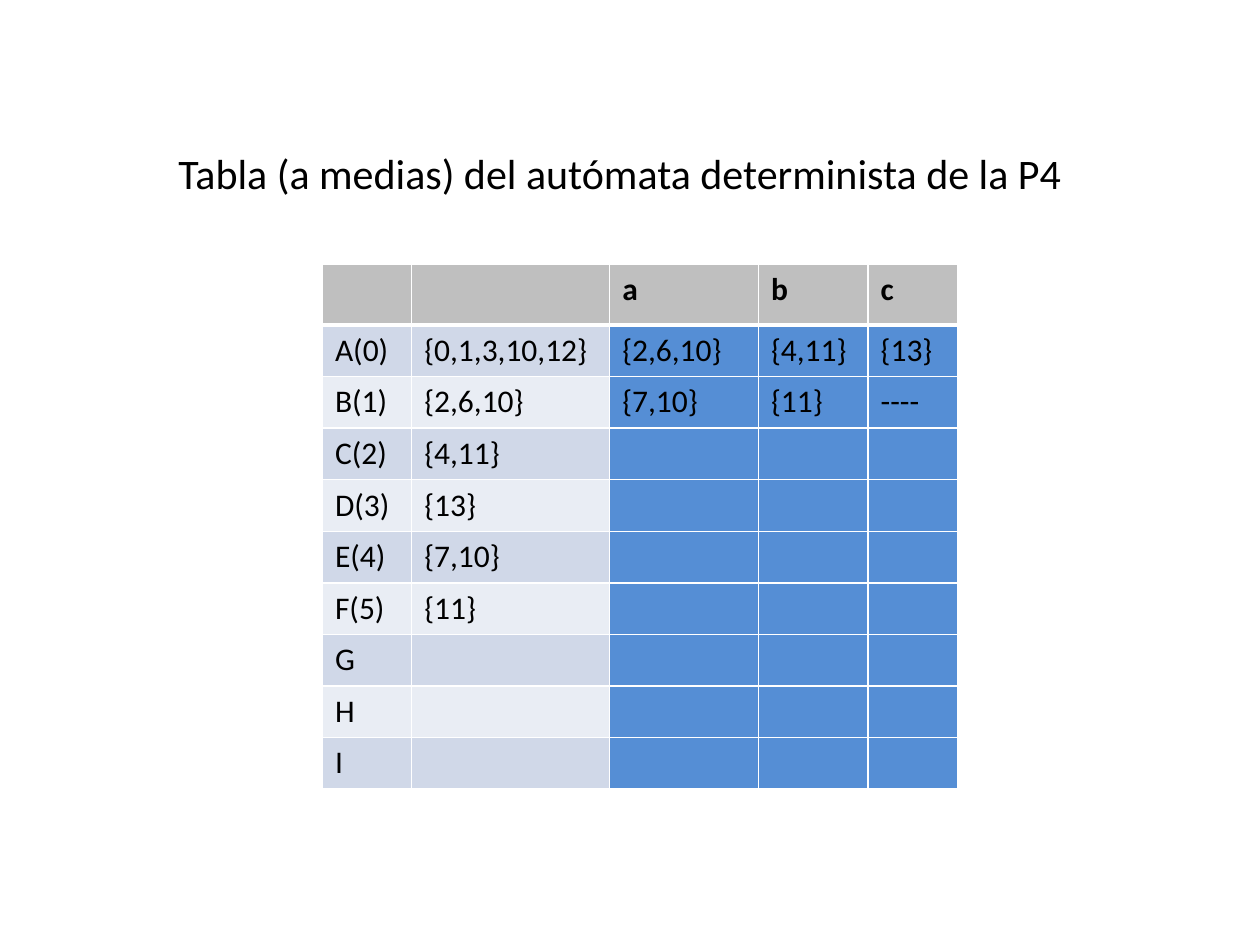
from lxml import etree
from pptx import Presentation
from pptx.dml.color import RGBColor
from pptx.enum import text
from pptx.oxml import ns
from pptx.util import Cm, Pt

BLACK = RGBColor(0x00, 0x00, 0x00)
WHITE = RGBColor(0xFF, 0xFF, 0xFF)
GREY = RGBColor(0xBF, 0xBF, 0xBF)
BAND_DARK = RGBColor(0xD0, 0xD8, 0xE8)
BAND_LIGHT = RGBColor(0xE9, 0xED, 0xF4)
BLUE = RGBColor(0x55, 0x8E, 0xD5)

HEADING = "Tabla (a medias) del autómata determinista de la P4"
TRANSITIONS = [
    ["", "", "a", "b", "c"],
    ["A(0)", "{0,1,3,10,12}", "{2,6,10}", "{4,11}", "{13}"],
    ["B(1)", "{2,6,10}", "{7,10}", "{11}", "----"],
    ["C(2)", "{4,11}"],
    ["D(3)", "{13}"],
    ["E(4)", "{7,10}"],
    ["F(5)", "{11}"],
    ["G"],
    ["H"],
    ["I"],
]
COLUMN_WIDTHS = [1.8, 3.99, 3, 2.21, 1.8]
HEADER_HEIGHT, STATE_HEIGHT = 1.22, 1.04


def format_font(font, size, bold=False):
    font.color.rgb = BLACK
    values = {"name": "Calibri", "size": Pt(size), "bold": bold}
    for name, value in values.items():
        setattr(font, name, value)


def add_heading(slide):
    heading = slide.shapes.title
    place = {"left": 1.7, "top": 2.34, "width": 21.59, "height": 2.29}
    for name, value in place.items():
        setattr(heading, name, Cm(value))
    frame = heading.text_frame
    frame.text = HEADING
    frame.vertical_anchor = text.MSO_ANCHOR.MIDDLE
    paragraph = frame.paragraphs[0]
    paragraph.alignment = text.PP_ALIGN.CENTER
    format_font(paragraph.runs[0].font, 24)


def set_borders(cell, top, bottom):
    properties = cell._tc.get_or_add_tcPr()
    for side, width in {"L": 1, "R": 1, "T": top, "B": bottom}.items():
        line = etree.SubElement(properties, ns.qn(f"a:ln{side}"), w=str(Pt(width)))
        solid = etree.SubElement(line, ns.qn("a:solidFill"))
        etree.SubElement(solid, ns.qn("a:srgbClr"), val=str(WHITE))


def cell_fill(row, column):
    if row == 0:
        return GREY
    if column >= 2:
        return BLUE
    return BAND_DARK if row % 2 else BAND_LIGHT


def fill_cell(cell, row, column, label):
    set_borders(cell, 3 if row == 1 else 1, 3 if row == 0 else 1)
    cell.fill.solid()
    cell.fill.fore_color.rgb = cell_fill(row, column)
    if label:
        cell.text = label
        format_font(cell.text_frame.paragraphs[0].runs[0].font, 18, row == 0)


def add_transitions(slide):
    heights = [HEADER_HEIGHT] + [STATE_HEIGHT] * (len(TRANSITIONS) - 1)
    table = slide.shapes.add_table(
        len(heights), len(COLUMN_WIDTHS), Cm(6.5), Cm(5.33),
        Cm(sum(COLUMN_WIDTHS)), Cm(sum(heights))).table
    for column, width in zip(table.columns, COLUMN_WIDTHS):
        column.width = Cm(width)
    for row, height in enumerate(heights):
        table.rows[row].height = Cm(height)
        labels = TRANSITIONS[row]
        for column in range(len(COLUMN_WIDTHS)):
            label = labels[column] if column < len(labels) else ""
            fill_cell(table.cell(row, column), row, column, label)


def main():
    deck = Presentation()
    deck.slide_width, deck.slide_height = Cm(25.4), Cm(19.05)
    slide = deck.slides.add_slide(deck.slide_layouts[0])
    subtitle = slide.placeholders[1].element
    subtitle.getparent().remove(subtitle)
    add_heading(slide)
    add_transitions(slide)
    deck.save("out.pptx")


if __name__ == "__main__":
    main()
